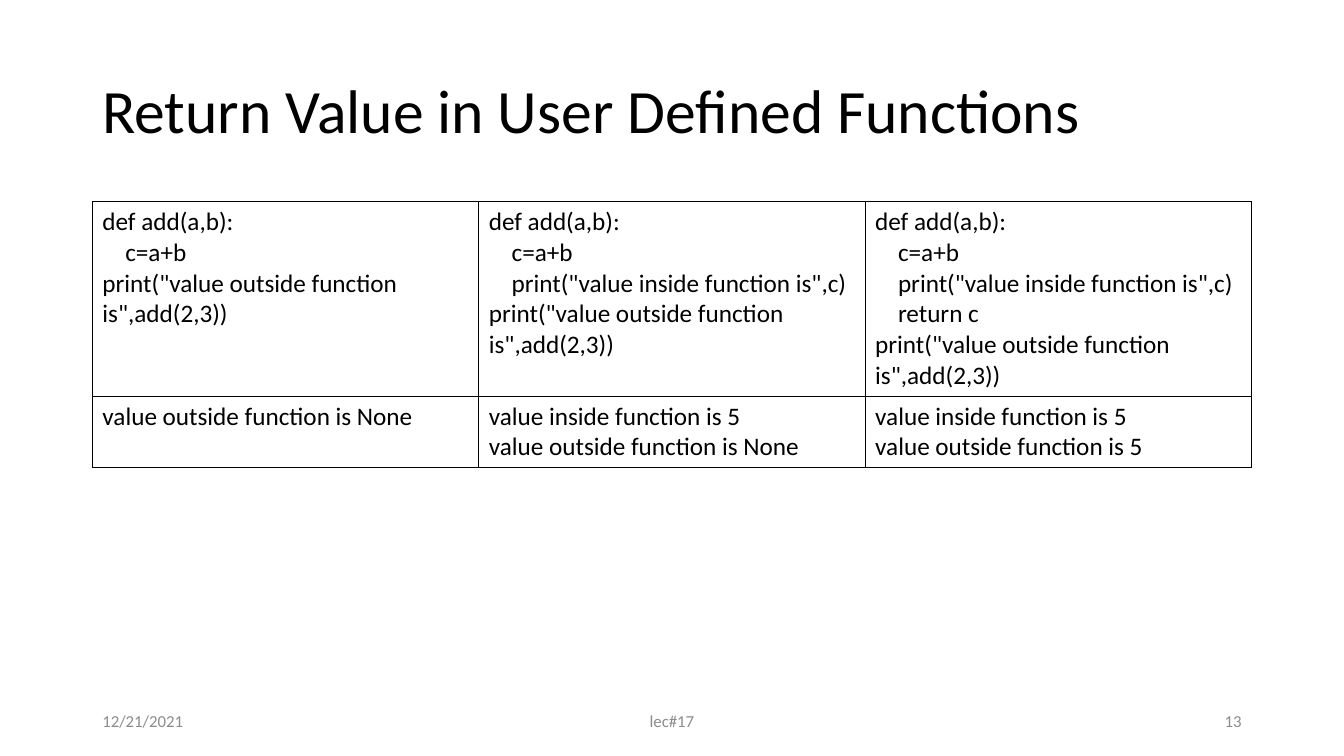
from dataclasses import dataclass

from lxml import etree
from pptx import Presentation
from pptx.dml.color import RGBColor
from pptx.enum.text import MSO_ANCHOR, PP_ALIGN
from pptx.oxml.ns import qn
from pptx.util import Pt

LEFT, CENTER, RIGHT = PP_ALIGN.LEFT, PP_ALIGN.CENTER, PP_ALIGN.RIGHT
MIDDLE = MSO_ANCHOR.MIDDLE
BLANK_LAYOUT = 6


@dataclass(frozen=True)
class Theme:
    font: str = "Calibri"
    ink: str = "000000"
    muted: str = "8C8C8C"
    title_size: int = 44
    table_size: int = 18
    footer_size: int = 12
    border: int = 1
    code_indent: float = 16.3


THEME = Theme()
MARGIN, CONTENT_WIDTH = 66, 828
TABLE_TOP, ROW_HEIGHTS = 144, (139, 51)
FOOTER_TOP, FOOTER_HEIGHT = 500.5, 29

# Each program is a list of (indent level, code line).
DEFINE = (0, "def add(a,b):")
SUM = (1, "c=a+b")
PRINT_INSIDE = (1, 'print("value inside function is",c)')
RETURN = (1, "return c")
PRINT_OUTSIDE = (0, 'print("value outside function is",add(2,3))')
INSIDE_FIVE = (0, "value inside function is 5")
OUTSIDE_NONE = (0, "value outside function is None")
OUTSIDE_FIVE = (0, "value outside function is 5")

TABLE_ROWS = (
    (
        (DEFINE, SUM, PRINT_OUTSIDE),
        (DEFINE, SUM, PRINT_INSIDE, PRINT_OUTSIDE),
        (DEFINE, SUM, PRINT_INSIDE, RETURN, PRINT_OUTSIDE),
    ),
    ((OUTSIDE_NONE,), (INSIDE_FIVE, OUTSIDE_NONE), (INSIDE_FIVE, OUTSIDE_FIVE)),
)

FOOTERS = (
    ("12/21/2021", MARGIN, 216, LEFT),
    ("lec#17", 318, 324, CENTER),
    ("13", 678, 216, RIGHT),
)


def style_paragraph(paragraph, size, color):
    paragraph.font.name = THEME.font
    paragraph.font.size = Pt(size)
    paragraph.font.color.rgb = RGBColor.from_string(color)


def add_label(slide, text, box, size, color, align=LEFT):
    shape = slide.shapes.add_textbox(*(Pt(length) for length in box))
    frame = shape.text_frame
    frame.word_wrap = True
    frame.vertical_anchor = MIDDLE
    paragraph = frame.paragraphs[0]
    paragraph.text = text
    paragraph.alignment = align
    style_paragraph(paragraph, size, color)
    return paragraph


def set_borders(cell):
    properties = cell._tc.get_or_add_tcPr()
    for position, side in enumerate(("lnL", "lnR", "lnT", "lnB")):
        line = etree.Element(qn(f"a:{side}"), w=str(Pt(THEME.border)))
        fill = etree.SubElement(line, qn("a:solidFill"))
        etree.SubElement(fill, qn("a:srgbClr"), val=THEME.ink)
        properties.insert(position, line)


def fill_cell(cell, lines):
    cell.fill.background()
    set_borders(cell)
    frame = cell.text_frame
    frame.text = "\n".join(text for _, text in lines)
    for paragraph, (level, _) in zip(frame.paragraphs, lines):
        style_paragraph(paragraph, THEME.table_size, THEME.ink)
        if level:
            indent = Pt(level * THEME.code_indent)
            paragraph._p.get_or_add_pPr().set("marL", str(indent))


def add_code_table(slide):
    column_count = len(TABLE_ROWS[0])
    table = slide.shapes.add_table(
        len(TABLE_ROWS), column_count, Pt(MARGIN), Pt(TABLE_TOP),
        Pt(CONTENT_WIDTH), Pt(sum(ROW_HEIGHTS)),
    ).table
    table.first_row = False
    table.horz_banding = False
    for column in table.columns:
        column.width = Pt(CONTENT_WIDTH / column_count)
    for row, height, programs in zip(table.rows, ROW_HEIGHTS, TABLE_ROWS):
        row.height = Pt(height)
        for cell, lines in zip(row.cells, programs):
            fill_cell(cell, lines)


def main():
    presentation = Presentation()
    presentation.slide_width = Pt(960)
    presentation.slide_height = Pt(540)
    slide = presentation.slides.add_slide(presentation.slide_layouts[BLANK_LAYOUT])

    title = add_label(
        slide, "Return Value in User Defined Functions",
        (MARGIN, 28.75, CONTENT_WIDTH, 104.4), THEME.title_size, THEME.ink,
    )
    title.line_spacing = 0.9
    add_code_table(slide)
    for text, left, width, align in FOOTERS:
        add_label(
            slide, text, (left, FOOTER_TOP, width, FOOTER_HEIGHT),
            THEME.footer_size, THEME.muted, align,
        )
    presentation.save("out.pptx")


if __name__ == "__main__":
    main()
